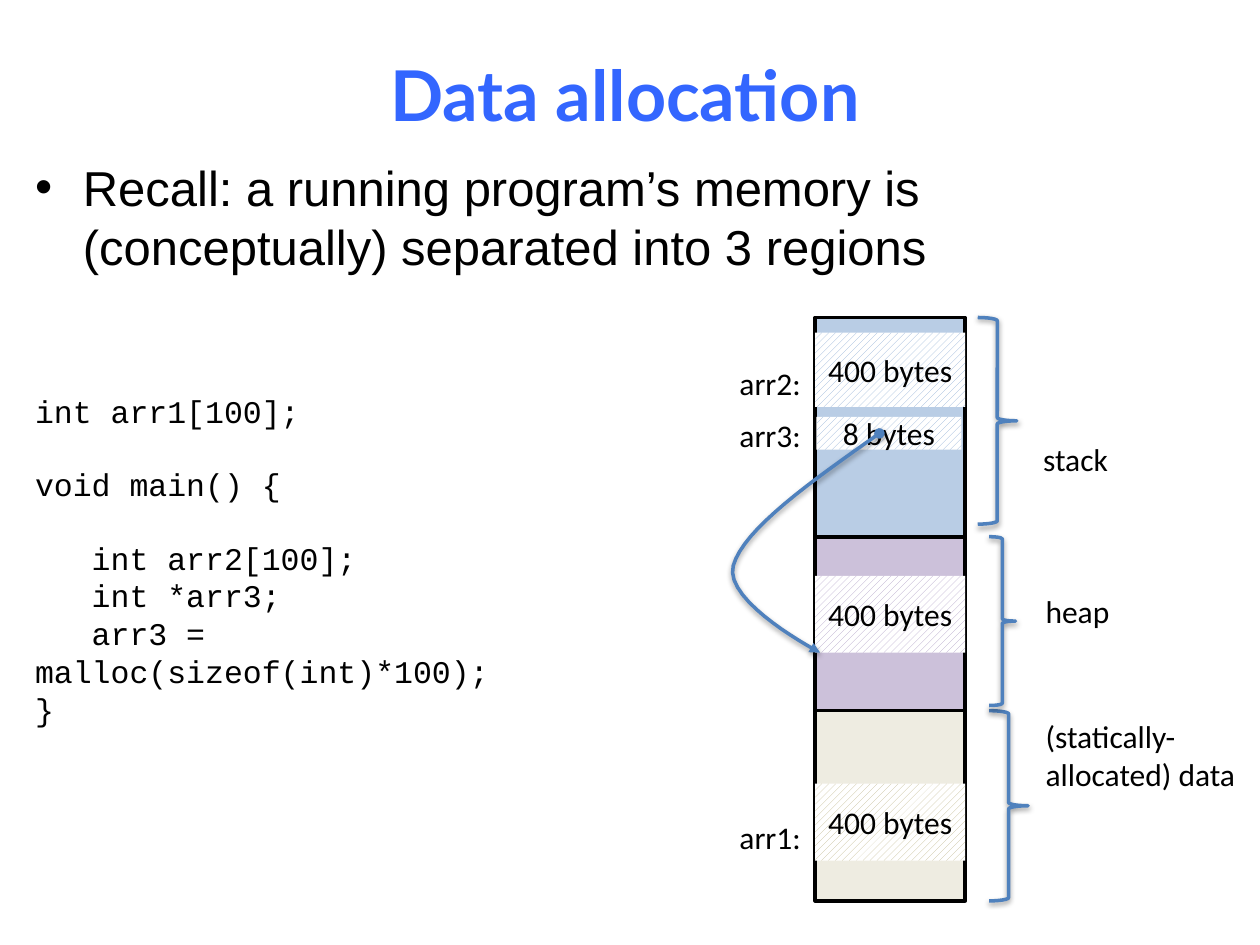
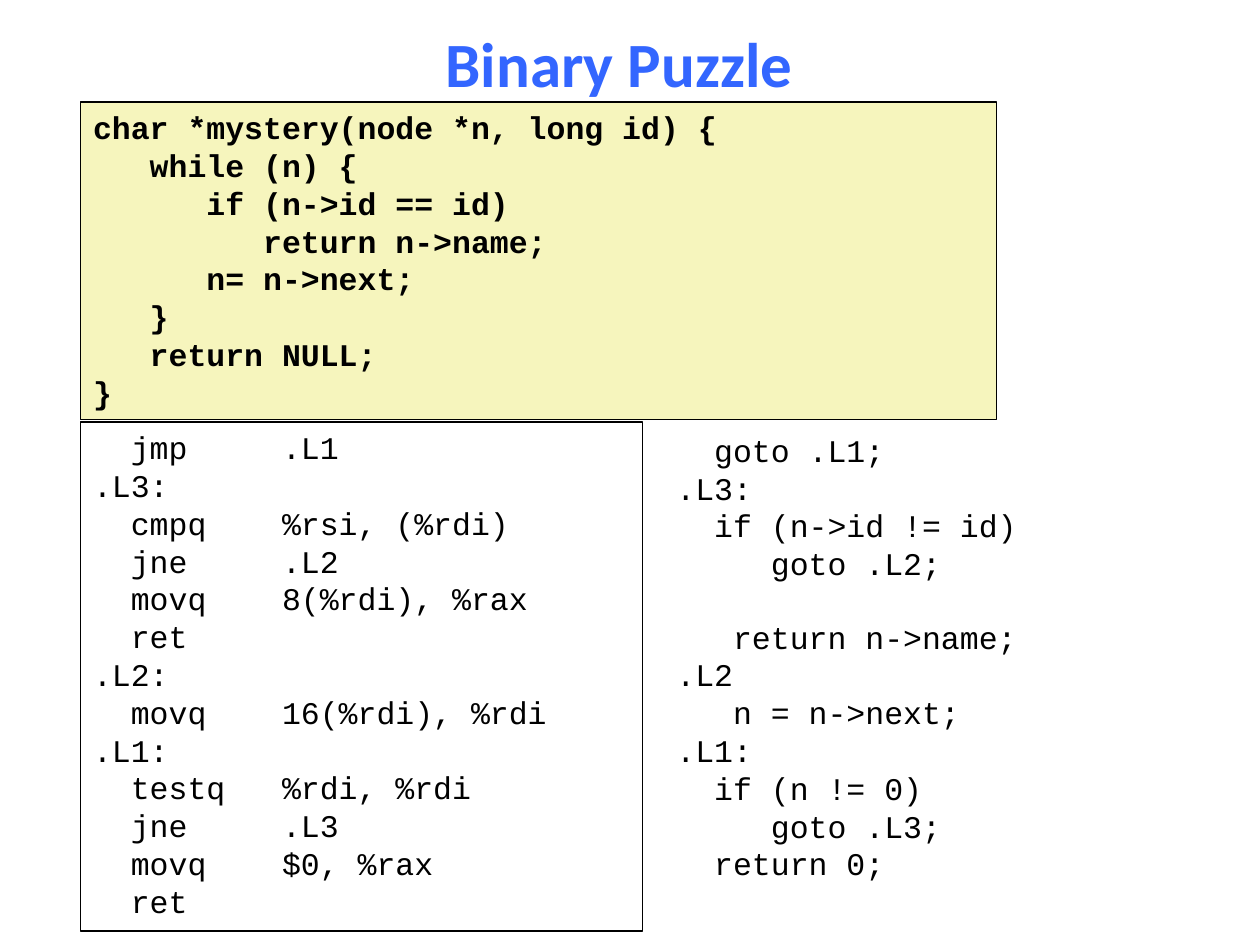
"""Builds two slides: memory regions for data allocation, and a binary puzzle."""
import pptx
import pptx.util
import pptx.dml.color
import pptx.enum.dml
import pptx.enum.shapes
import pptx.enum.text
import pptx.oxml
import pptx.oxml.ns
import lxml.etree

Inches, Pt = pptx.util.Inches, pptx.util.Pt
RGBColor = pptx.dml.color.RGBColor
SHAPE = pptx.enum.shapes.MSO_SHAPE
ALIGN = pptx.enum.text.PP_ALIGN
ANCHOR = pptx.enum.text.MSO_ANCHOR
qn = pptx.oxml.ns.qn

BLACK = RGBColor(0x00, 0x00, 0x00)
WHITE = RGBColor(0xFF, 0xFF, 0xFF)
TITLE_BLUE = RGBColor(0x33, 0x66, 0xFF)
LINE_BLUE = RGBColor(0x4F, 0x81, 0xBD)
STACK = RGBColor(0xB9, 0xCD, 0xE5)
STACK_HATCH = RGBColor(0x95, 0xB3, 0xD7)
HEAP = RGBColor(0xCC, 0xC1, 0xDA)
HEAP_HATCH = RGBColor(0xB3, 0xA2, 0xC7)
DATA = RGBColor(0xEE, 0xEC, 0xE1)
DATA_HATCH = RGBColor(0xC4, 0xBD, 0x97)
CODE_YELLOW = RGBColor(0xF6, 0xF5, 0xBD)

TITLE = {"size": Pt(40), "name": "Lato", "bold": True, "color": TITLE_BLUE}
BODY = {"size": Pt(28), "name": "Arial", "bold": False, "color": BLACK}
LABEL = {"size": Pt(18), "name": "Calibri", "bold": False, "color": BLACK}
CODE = {**LABEL, "name": "Courier New"}
CODE_LINE = Pt(20.4)


def write(sp, text, fmt, align=ALIGN.LEFT, anchor=ANCHOR.TOP, wrap=True):
    tf = sp.text_frame
    tf.word_wrap, tf.vertical_anchor = wrap, anchor
    first, gap = True, 0
    for line in text.split("\n"):
        if not line:
            gap += CODE_LINE
            continue
        p = tf.paragraphs[0] if first else tf.add_paragraph()
        p.alignment = align
        if gap:
            p.space_before = gap
        r = p.add_run()
        r.text = line
        for key, value in fmt.items():
            if key == "color":
                r.font.color.rgb = value
            else:
                setattr(r.font, key, value)
        first, gap = False, 0


def style(sp, fill=None, line=None, width=2, shadow=False):
    sp.shadow.inherit = False
    if fill is None:
        sp.fill.background()
    else:
        sp.fill.solid()
        sp.fill.fore_color.rgb = fill
    if line is None:
        sp.line.fill.background()
    else:
        sp.line.color.rgb = line
        sp.line.width = Pt(width)
    if shadow:
        effects = sp._element.spPr.find(qn("a:effectLst"))
        outer = lxml.etree.SubElement(effects, qn("a:outerShdw"), blurRad="40000",
                                      dist="20000", dir="5400000", rotWithShape="0")
        color = lxml.etree.SubElement(outer, qn("a:srgbClr"), val="000000")
        lxml.etree.SubElement(color, qn("a:alpha"), val="38000")


prs = pptx.Presentation()
prs.slide_width, prs.slide_height = Inches(10), Inches(7.5)
slides = []
for text, box, fmt in [
    ("Data allocation", (0.46, 0.12, 9, 1.25), TITLE),
    ("Binary Puzzle", (0.33, 0.18, 9.17, 0.63), {**TITLE, "size": Pt(36), "name": "Calibri"}),
]:
    s = prs.slides.add_slide(prs.slide_layouts[6])
    slides.append(s)
    sp = s.shapes.add_textbox(*map(Inches, box))
    write(sp, text, fmt, ALIGN.CENTER, ANCHOR.MIDDLE)

s = slides[0]
sp = s.shapes.add_textbox(Inches(0.18), Inches(1.2), Inches(9.33), Inches(1.21))
write(sp, "Recall: a running program’s memory is (conceptually) separated into 3 regions", BODY)
pPr = sp.text_frame.paragraphs[0]._p.get_or_add_pPr()
pPr.set("marL", str(Inches(0.38)))
pPr.set("indent", str(-Inches(0.38)))
lxml.etree.SubElement(pPr, qn("a:buFont"), typeface="Arial")
lxml.etree.SubElement(pPr, qn("a:buChar"), char="•")

sp = s.shapes.add_textbox(Inches(0.18), Inches(3.06), Inches(5.26), Inches(2.52))
write(sp, """int arr1[100];

void main() {

   int arr2[100];
   int *arr3;
   arr3 = malloc(sizeof(int)*100);
}""", CODE)

MEM_X, MEM_W = 6.47, 1.19
for top, height, fill in [(5.64, 1.51, DATA), (4.26, 1.38, HEAP), (2.52, 1.74, STACK)]:
    sp = s.shapes.add_shape(SHAPE.RECTANGLE, Inches(MEM_X), Inches(top), Inches(MEM_W), Inches(height))
    style(sp, fill, BLACK)

for box in [(7.85, 5.64, 0.31, 1.51), (7.85, 4.26, 0.21, 1.34), (7.76, 2.52, 0.31, 1.64)]:
    sp = s.shapes.add_shape(SHAPE.RIGHT_BRACE, *map(Inches, box))
    style(sp, None, LINE_BLUE, shadow=True)

for text, box in [
    ("(statically-allocated) data", (8.2, 5.64, 1.8, 0.71)),
    ("heap", (8.2, 4.65, 1.3, 0.4)),
    ("stack", (8.18, 3.44, 0.88, 0.4)),
]:
    write(s.shapes.add_textbox(*map(Inches, box)), text, LABEL)

for text, box, hatch in [
    ("400 bytes", (MEM_X, 6.22, MEM_W, 0.61), DATA_HATCH),
    ("8 bytes", (6.48, 3.31, 1.15, 0.26), STACK_HATCH),
    ("400 bytes", (MEM_X, 4.57, MEM_W, 0.61), HEAP_HATCH),
    ("400 bytes", (MEM_X, 2.64, MEM_W, 0.59), STACK_HATCH),
]:
    sp = s.shapes.add_shape(SHAPE.RECTANGLE, *map(Inches, box))
    style(sp)
    sp.fill.patterned()
    sp.fill.pattern = pptx.enum.dml.MSO_PATTERN.WIDE_UPWARD_DIAGONAL
    sp.fill.fore_color.rgb = hatch
    sp.fill.back_color.rgb = WHITE
    write(sp, text, LABEL, ALIGN.CENTER, ANCHOR.MIDDLE)

for text, top in [("arr1:", 6.44), ("arr3:", 3.25), ("arr2:", 2.84)]:
    sp = s.shapes.add_textbox(Inches(5.77), Inches(top), Inches(0.69), Inches(0.4))
    write(sp, text, LABEL, wrap=False)

STEPS = 16
points = []
for curve in [
    [(6.98, 3.44), (6.44, 3.82), (5.9, 4.2), (5.82, 4.49)],
    [(5.82, 4.49), (5.74, 4.78), (6.51, 5.18), (6.51, 5.18)],
]:
    for step in range(1, STEPS + 1):
        t = step / STEPS
        weights = [(1 - t) ** 3, 3 * t * (1 - t) ** 2, 3 * t ** 2 * (1 - t), t ** 3]
        points.append([Inches(sum(w * c[axis] for w, c in zip(weights, curve))) for axis in (0, 1)])
builder = s.shapes.build_freeform(Inches(6.98), Inches(3.44))
builder.add_line_segments(points, close=False)
pointer = builder.convert_to_shape()
style(pointer, None, LINE_BLUE, shadow=True)
ln = pointer.line._get_or_add_ln()
lxml.etree.SubElement(ln, qn("a:round"))
lxml.etree.SubElement(ln, qn("a:headEnd"), type="oval")
lxml.etree.SubElement(ln, qn("a:tailEnd"), type="triangle")

s = slides[1]
C_CODE = """char *mystery(node *n, long id) {
   while (n) {
      if (n->id == id)
         return n->name;
      n= n->next;
   }
   return NULL;
}"""
ASSEMBLY = """  jmp     .L1
.L3:
  cmpq    %rsi, (%rdi)
  jne     .L2
  movq    8(%rdi), %rax
  ret
.L2:
  movq    16(%rdi), %rdi
.L1:
  testq   %rdi, %rdi
  jne     .L3
  movq    $0, %rax
  ret"""
GOTO_CODE = """  goto .L1;
.L3:
  if (n->id != id)
     goto .L2;

   return n->name;
.L2
   n = n->next;
.L1:
  if (n != 0)
     goto .L3;
  return 0;"""
for text, box, fill, line, bold in [
    (C_CODE, (0.64, 0.81, 7.27, 2.52), CODE_YELLOW, BLACK, True),
    (ASSEMBLY, (0.64, 3.35, 4.46, 4.04), WHITE, BLACK, False),
    (GOTO_CODE, (5.27, 3.37, 4.46, 3.73), WHITE, None, False),
]:
    sp = s.shapes.add_shape(SHAPE.RECTANGLE, *map(Inches, box))
    style(sp, fill, line, 1)
    write(sp, text, {**CODE, "bold": bold})

prs.save("out.pptx")
